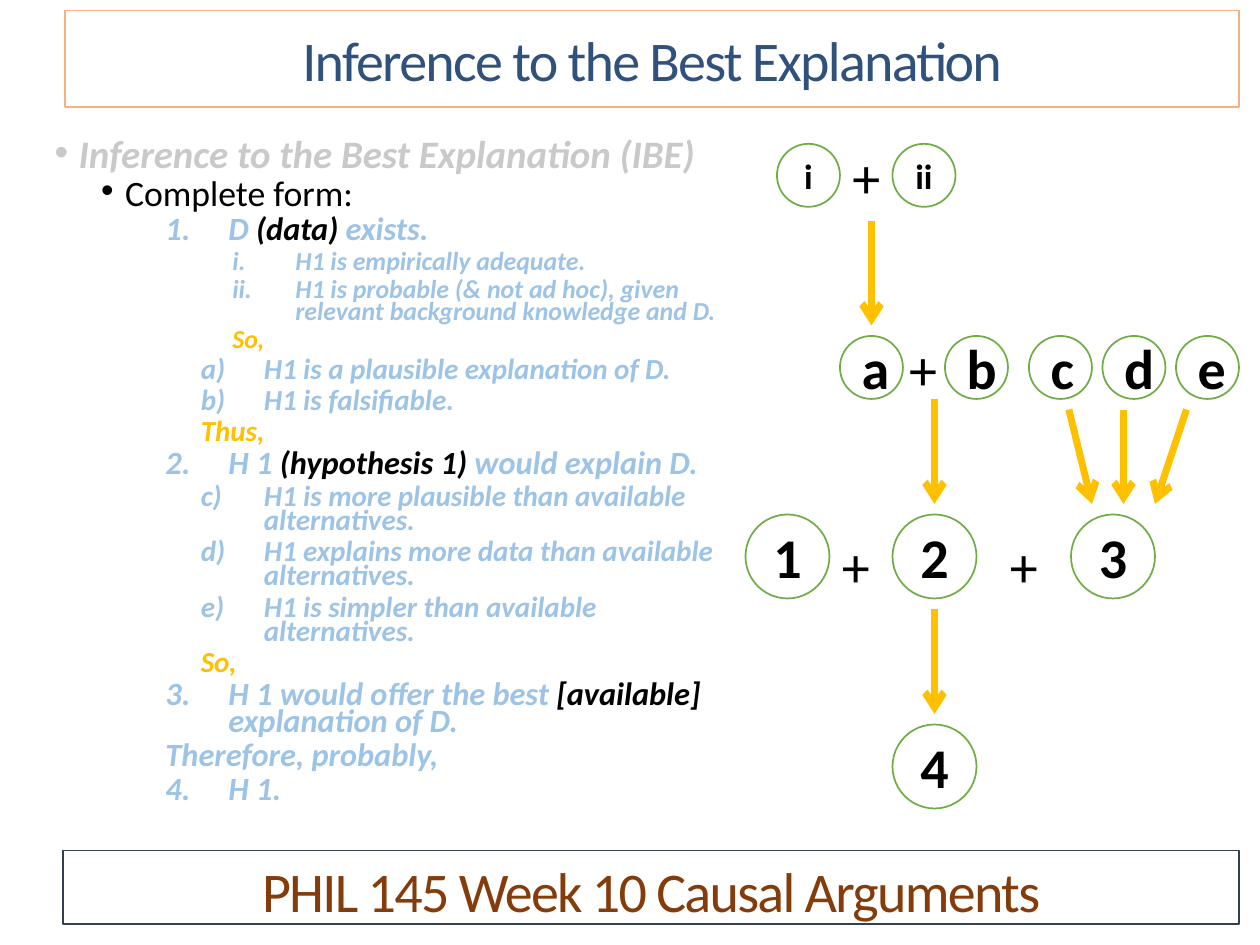
from pptx import Presentation
from pptx import util as u
from pptx.dml.color import RGBColor
from pptx.enum import shapes, text
from pptx.oxml.ns import qn
from lxml import etree

CELL = u.Inches(1) / 12  # the slide is a grid of 120 columns by 90 rows


class Theme:
    font = "Calibri"
    black, white, grey = "000000", "FFFFFF", "C9C9C9"
    pale, gold, green = "9DC3E6", "FFC000", "70AD47"
    navy, peach = "31517D", "F4B183"
    brown, slate = "843C0B", "333F50"
    big, small = 32, 20
    levels = (22.2, 20.4, 18.5, 16.6, 14.8)


# Numbering scheme and left margin in inches, by list level
MARKS = ("•", "•", "arabicPeriod", "alphaLcParenR", "romanLcPeriod")
LEFTS = (0.19, 0.56, 1.38, 1.66, 1.91)

# Level, text (black words between bars), and options
LIST = [
    (0, "Inference to the Best Explanation (IBE)", dict(color=Theme.grey)),
    (1, "Complete form:", dict(color=Theme.black, bold=False, italic=False)),
    (2, "D |(data) |exists.", {}),
    (4, "H1 is empirically adequate.", {}),
    (4, "H1 is probable (& not ad hoc), given relevant background knowledge and D.", {}),
    (4, "So,", dict(color=Theme.gold, mark=None, left=1.41)),
    (3, "H1 is a plausible explanation of D.", {}),
    (3, "H1 is falsifiable.", {}),
    (3, "Thus,", dict(color=Theme.gold, mark=None, left=1.16)),
    (2, "H 1 |(hypothesis 1) |would explain D.", {}),
    (3, "H1 is more plausible than available alternatives.", dict(start=3)),
    (3, "H1 explains more data than available alternatives.", dict(start=3)),
    (3, "H1 is simpler than available alternatives.", dict(start=3)),
    (3, "So,", dict(color=Theme.gold, mark=None, left=1.16)),
    (2, "H 1 would offer the best |[available] |explanation of D.", {}),
    (2, "Therefore, probably,", dict(mark=None)),
    (2, "H 1.", dict(start=4)),
]


def grid(*cells):
    return [u.Emu(round(c * CELL)) for c in cells]


def rgb(code):
    return RGBColor.from_string(code)


def write(para, words, size=Theme.big, color=Theme.black, bold=False,
          italic=False, align=None, track=None):
    para.alignment = align
    for i, part in enumerate(words.split("|")):
        run = para.add_run()
        run.text = part
        font = run.font
        font.name, font.size = Theme.font, u.Pt(size)
        font.bold, font.italic = bold, italic
        font.color.rgb = rgb(Theme.black if i % 2 else color)
        if track:
            run._r.get_or_add_rPr().set("spc", str(track * 100))


def mark_up(para, mark, left, start=None, hang=0.5):
    """Set the indent and the bullet or number of a paragraph."""
    props = para._p.get_or_add_pPr()
    props.set("marL", str(u.Inches(left)))
    props.set("indent", str(-u.Inches(hang)))
    if mark is None:
        etree.SubElement(props, qn("a:buNone"))
    elif mark == "•":
        etree.SubElement(props, qn("a:buFont"), typeface="Arial")
        etree.SubElement(props, qn("a:buChar"), char=mark)
    else:
        auto = etree.SubElement(props, qn("a:buAutoNum"), type=mark)
        if start:
            auto.set("startAt", str(start))


def banner(shape, box, words, color, edge, anchor):
    """Framed line of text across the slide."""
    shape.left, shape.top, shape.width, shape.height = grid(*box)
    shape.line.color.rgb, shape.line.width = rgb(edge), u.Pt(0.75)
    shape.fill.background()
    frame = shape.text_frame
    frame.word_wrap, frame.vertical_anchor = True, anchor
    frame.auto_size = text.MSO_AUTO_SIZE.NONE
    write(frame.paragraphs[0], words, color=color,
          align=text.PP_ALIGN.CENTER, track=-1)


def outline(shape, box):
    """Argument in numbered steps."""
    shape.left, shape.top, shape.width, shape.height = grid(*box)
    frame = shape.text_frame
    frame.word_wrap, frame.auto_size = True, text.MSO_AUTO_SIZE.NONE
    for i, (level, words, opts) in enumerate(LIST):
        para = frame.add_paragraph() if i else frame.paragraphs[0]
        para.level, para.line_spacing = level, 0.7
        para.space_before = u.Pt(3.8 if i else 7.5)
        para.space_after = u.Pt(0)
        mark = opts.get("mark", MARKS[level])
        left = opts.get("left", LEFTS[level])
        hang = 0 if "left" in opts else 0.19 if level < 2 else 0.5
        mark_up(para, mark, left, opts.get("start"), hang)
        write(para, words, size=Theme.levels[level],
              color=opts.get("color", Theme.pale),
              bold=opts.get("bold", True), italic=opts.get("italic", True))


def node(slide, x, y, side, words, size=Theme.big):
    ring = slide.shapes.add_shape(shapes.MSO_SHAPE.OVAL, *grid(x, y, side, side))
    ring.shadow.inherit = False
    ring.fill.solid()
    ring.fill.fore_color.rgb = rgb(Theme.white)
    ring.line.color.rgb, ring.line.width = rgb(Theme.green), u.Pt(1)
    ring.text_frame.vertical_anchor = text.MSO_ANCHOR.MIDDLE
    write(ring.text_frame.paragraphs[0], words, size=size, bold=True,
          align=text.PP_ALIGN.CENTER)


def plus(slide, x, y):
    box = slide.shapes.add_textbox(*grid(x, y, 5.5, 7.7))
    box.text_frame.word_wrap = False
    write(box.text_frame.paragraphs[0], "+")


def arrow(slide, *ends):
    line = slide.shapes.add_connector(shapes.MSO_CONNECTOR.STRAIGHT, *grid(*ends))
    line.line.color.rgb, line.line.width = rgb(Theme.gold), u.Pt(4)
    etree.SubElement(line.line._get_or_add_ln(), qn("a:tailEnd"), type="arrow")
    etree.SubElement(line._element.spPr, qn("a:effectLst"))


def diagram(slide, x, y):
    """Map of the argument, in grid cells from its top left corner."""
    # Premises i and ii
    for dx, name in ((3, "i"), (14, "ii")):
        node(slide, x + dx, y + 0.7, 6, name, size=Theme.small)
    # Reasons a to e
    for dx, name in zip((9, 19, 27, 34, 41), "abcde"):
        node(slide, x + dx, y + 19, 6, name)
    # Main steps
    for dx, dy, name in ((0, 36, "1"), (14, 36, "2"), (31, 36, "3"), (14, 56, "4")):
        node(slide, x + dx, y + dy, 8, name)
    for dx, dy in ((9, 0), (14.4, 18.3), (8, 37), (24, 37)):
        plus(slide, x + dx, y + dy)
    # Arrows: start column and row, end column and row
    for a, b, c, d in ((12, 8, 12, 18), (18, 25, 18, 35), (30.8, 26, 33, 35),
                       (36, 26, 36, 35), (42, 26, 39, 35), (18, 45, 18, 55)):
        arrow(slide, x + a, y + b, x + c, y + d)


def main():
    deck = Presentation()
    deck.slide_width, deck.slide_height = grid(120, 90)
    slide = deck.slides.add_slide(deck.slide_layouts[1])
    title, body = slide.placeholders
    outline(body, (4, 13, 67, 68))
    diagram(slide, 71, 13)
    banner(title, (6.2, 1, 111.8, 9.2), "Inference to the Best Explanation",
           Theme.navy, Theme.peach, text.MSO_ANCHOR.MIDDLE)
    foot = slide.shapes.add_shape(shapes.MSO_SHAPE.RECTANGLE, 0, 0, 0, 0)
    foot.shadow.inherit = False
    banner(foot, (6, 81, 112, 7), "PHIL 145 Week 10 Causal Arguments",
           Theme.brown, Theme.slate, text.MSO_ANCHOR.TOP)
    deck.save("out.pptx")


if __name__ == "__main__":
    main()
